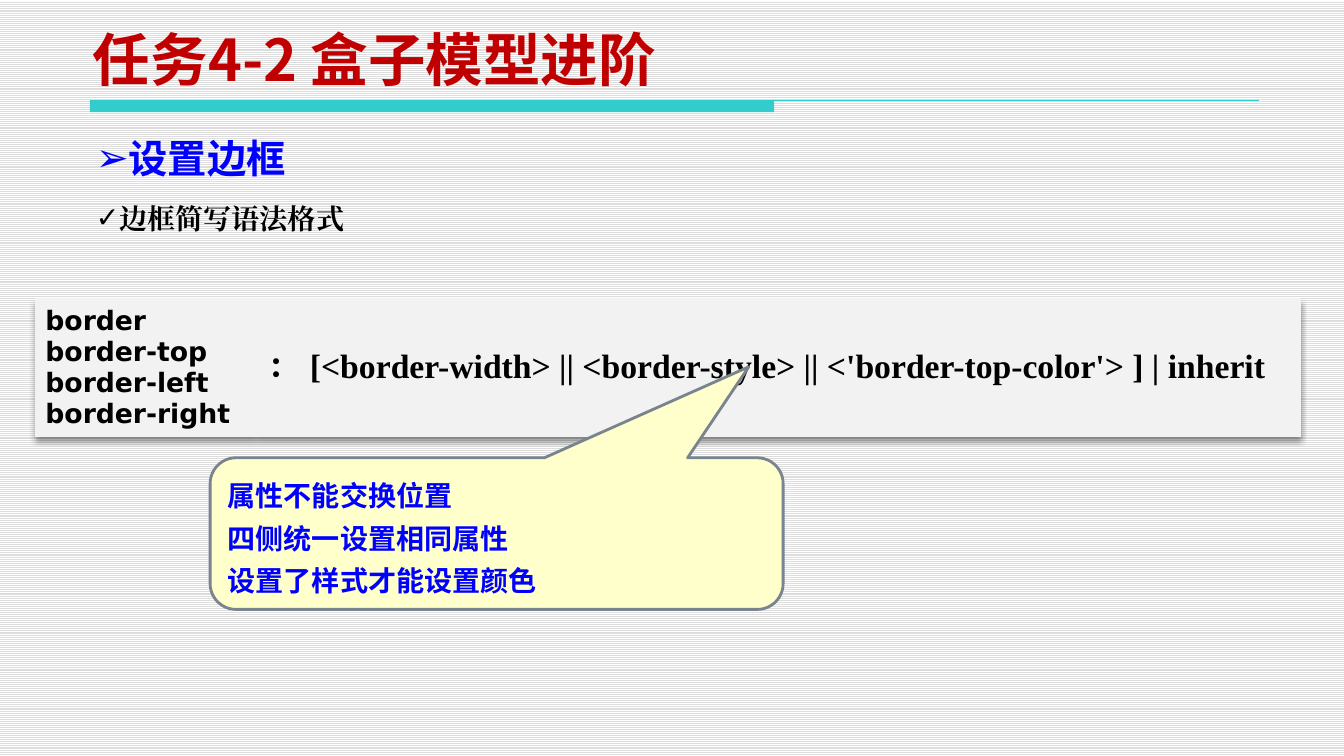
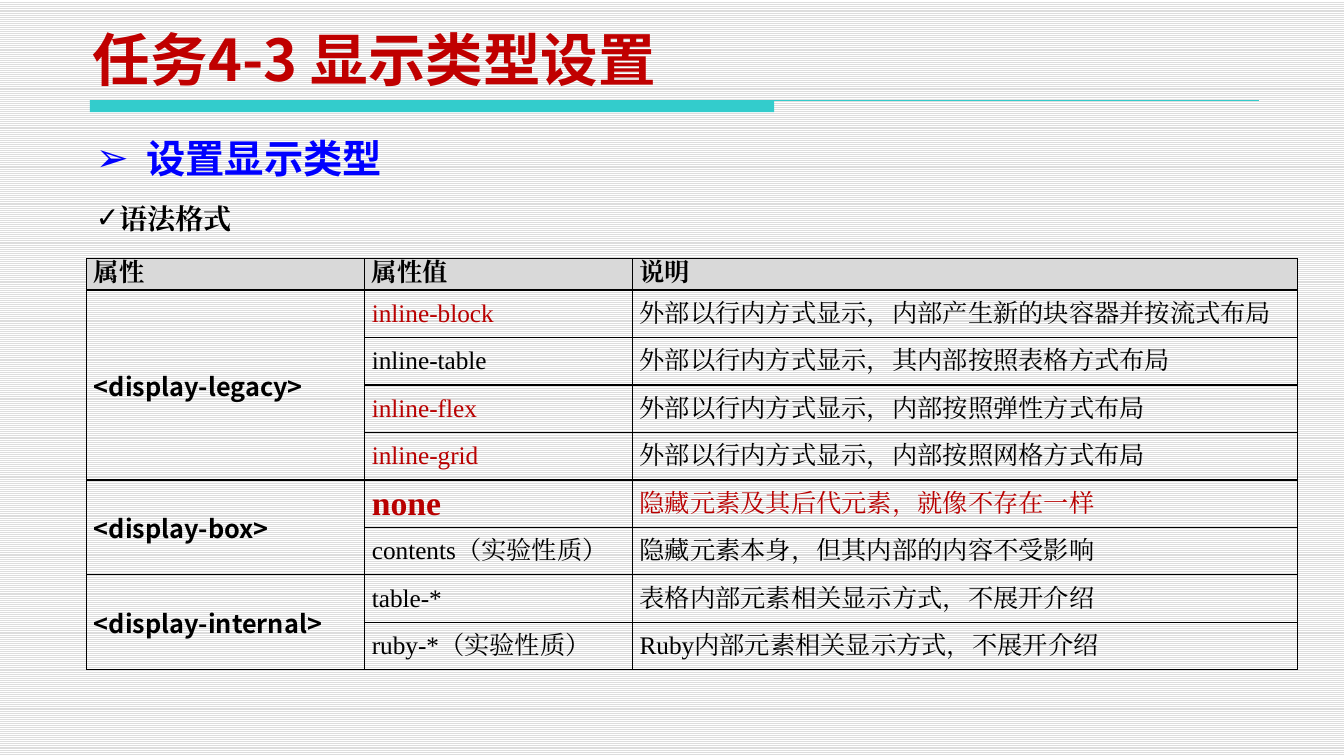
from dataclasses import dataclass

from lxml import etree
from pptx import Presentation
from pptx.dml.color import RGBColor
from pptx.enum.dml import MSO_PATTERN
from pptx.enum.shapes import MSO_CONNECTOR, MSO_SHAPE
from pptx.enum.text import MSO_ANCHOR, PP_ALIGN
from pptx.oxml.ns import qn
from pptx.util import Inches, Pt


@dataclass(frozen=True)
class Theme:
    # Colours
    stripe: str = "DDDDDD"
    white: str = "FFFFFF"
    black: str = "000000"
    title: str = "C00000"
    rule: str = "33CCCC"
    blue: str = "0000FF"
    accent: str = "B90000"
    panel: str = "F2F2F2"
    header: str = "D9D9D9"
    callout: str = "FFFFCC"
    callout_line: str = "79848F"
    # Fonts
    sans: str = "DejaVu Sans"
    serif: str = "Times New Roman"
    chinese: str = "Noto Sans CJK SC"
    # Type sizes
    title_size: int = 41
    heading_size: int = 28
    syntax_size: int = 24
    body_size: int = 20
    property_size: int = 19
    cell_size: int = 18


THEME = Theme()
PLAIN_TABLE_STYLE = "{2D5ABB26-0587-4C30-8999-92F81FD0307C}"


def rgb(value):
    return RGBColor.from_string(value)


def add_child(parent, tag, **attributes):
    return etree.SubElement(parent, qn(tag), **attributes)


def format_paragraph(paragraph, name, size, color, bold=True, align=PP_ALIGN.LEFT):
    paragraph.alignment = align
    font = paragraph.font
    font.size, font.bold = Pt(size), bold
    font.color.rgb = rgb(color)
    font.name = name
    # East Asian characters use the same font name
    properties = paragraph._p.get_or_add_pPr().find(qn("a:defRPr"))
    add_child(properties, "a:ea", typeface=name)


def write_lines(frame, lines, *style, **options):
    frame.text = "\n".join(lines)
    for paragraph in frame.paragraphs:
        format_paragraph(paragraph, *style, **options)


def add_bullet(paragraph, symbol, indent):
    properties = paragraph._p.get_or_add_pPr()
    properties.set("marL", str(Inches(indent)))
    properties.set("indent", str(Inches(-indent)))
    add_child(properties, "a:buFont", typeface=THEME.sans)
    add_child(properties, "a:buChar", char=symbol)


# Shared title, rule and headings
def add_title_rule(slide, left, top, width, height):
    band = slide.shapes.add_shape(MSO_SHAPE.RECTANGLE, left, top, Inches(6.77), height)
    band.shadow.inherit = False
    band.fill.solid()
    band.fill.fore_color.rgb = rgb(THEME.rule)
    band.line.fill.background()
    line = slide.shapes.add_connector(MSO_CONNECTOR.STRAIGHT, left, top, left + width, top)
    line.line.color.rgb = rgb(THEME.rule)
    line.line.width = Pt(0.75)
    add_child(line._element.spPr, "a:effectLst")


def add_bullet_line(slide, box, text, symbol, style, indent=0, align=PP_ALIGN.LEFT):
    frame = slide.shapes.add_textbox(*box).text_frame
    frame.word_wrap = True
    paragraph = frame.paragraphs[0]
    paragraph.text = text
    add_bullet(paragraph, symbol, indent)
    format_paragraph(paragraph, *style, align=align)


def add_topic_slide(presentation, title, heading, subheading, heading_indent=0):
    slide = presentation.slides.add_slide(presentation.slide_layouts[5])
    add_title_rule(slide, Inches(0.89), Inches(0.99), Inches(11.57), Inches(0.12))

    placeholder = slide.shapes.title
    placeholder.left, placeholder.top = Inches(0.82), Inches(0.28)
    placeholder.width, placeholder.height = Inches(8.03), Inches(0.69)
    placeholder.text_frame.vertical_anchor = MSO_ANCHOR.BOTTOM
    write_lines(placeholder.text_frame, [title], THEME.chinese, THEME.title_size, THEME.title)

    left = Inches(0.85)
    add_bullet_line(slide, (left, Inches(1.28), Inches(8.66), Inches(0.57)), heading, "➢",
                    (THEME.sans, THEME.heading_size, THEME.blue),
                    heading_indent, PP_ALIGN.JUSTIFY)
    add_bullet_line(slide, (left, Inches(1.94), Inches(7.33), Inches(0.44)), subheading, "✓",
                    (THEME.serif, THEME.body_size, THEME.black))
    return slide


# Tables
def add_plain_table(slide, left, top, column_widths, row_heights):
    frame = slide.shapes.add_table(len(row_heights), len(column_widths), left, top,
                                   Inches(sum(column_widths)), Inches(sum(row_heights)))
    table = frame.table
    table.first_row = table.horz_banding = False
    table._tbl.tblPr.find(qn("a:tableStyleId")).text = PLAIN_TABLE_STYLE
    for column, width in zip(table.columns, column_widths):
        column.width = Inches(width)
    for row, height in zip(table.rows, row_heights):
        row.height = Inches(height)
    return table


def fill_cell(cell, color):
    cell.fill.solid()
    cell.fill.fore_color.rgb = rgb(color)


def add_borders(cell, color, width):
    properties = cell._tc.get_or_add_tcPr()
    for index, side in enumerate(("a:lnL", "a:lnR", "a:lnT", "a:lnB")):
        line = etree.Element(qn(side), w=str(Pt(width)))
        add_child(add_child(line, "a:solidFill"), "a:srgbClr", val=color)
        properties.insert(index, line)


def add_table_shadow(table):
    effects = etree.Element(qn("a:effectLst"))
    shadow = add_child(effects, "a:outerShdw", blurRad=str(Pt(4)), dist=str(Pt(3)),
                       dir="5400000", algn="t", rotWithShape="0")
    color = add_child(shadow, "a:srgbClr", val=THEME.black)
    add_child(color, "a:alpha", val="40000")
    table._tbl.tblPr.insert(0, effects)


def add_syntax_table(slide, left, top, properties, syntax):
    table = add_plain_table(slide, left, top, [2.2, 10.32], [1.37])
    add_table_shadow(table)
    contents = ((properties, THEME.sans, THEME.property_size),
                ([syntax], THEME.serif, THEME.syntax_size))
    for cell, (lines, name, size) in zip(table.rows[0].cells, contents):
        cell.vertical_anchor = MSO_ANCHOR.MIDDLE
        fill_cell(cell, THEME.panel)
        write_lines(cell.text_frame, lines, name, size, THEME.black)


def add_callout(slide, left, top, width, height, lines):
    callout = slide.shapes.add_shape(MSO_SHAPE.ROUNDED_RECTANGULAR_CALLOUT,
                                     left, top, width, height)
    for index, value in enumerate((0.44, -1.1, 0.17)):
        callout.adjustments[index] = value
    callout.shadow.inherit = False
    callout.fill.solid()
    callout.fill.fore_color.rgb = rgb(THEME.callout)
    callout.line.color.rgb = rgb(THEME.callout_line)
    callout.line.width = Pt(2)
    frame = callout.text_frame
    frame.word_wrap = True
    frame.vertical_anchor = MSO_ANCHOR.MIDDLE
    write_lines(frame, lines, THEME.sans, THEME.body_size, THEME.blue)
    for paragraph in frame.paragraphs:
        paragraph.line_spacing = Pt(30)


def add_display_table(slide, left, top, headers, groups):
    row_count = sum(len(values) for _, values in groups)
    table = add_plain_table(slide, left, top, [2.75, 2.65, 6.58], [0.31] + [0.47] * row_count)
    for cell in table.iter_cells():
        cell.margin_left = cell.margin_right = Inches(0.07)
        cell.margin_top = cell.margin_bottom = 0
        cell.vertical_anchor = MSO_ANCHOR.MIDDLE
        add_borders(cell, THEME.black, 1)

    # Header row
    for cell, text in zip(table.rows[0].cells, headers):
        cell.vertical_anchor = MSO_ANCHOR.TOP
        fill_cell(cell, THEME.header)
        write_lines(cell.text_frame, [text], THEME.serif, THEME.cell_size, THEME.black,
                    align=PP_ALIGN.JUSTIFY)

    # One merged property cell beside each group of values
    row = 1
    for name, values in groups:
        group_cell = table.cell(row, 0)
        group_cell.merge(table.cell(row + len(values) - 1, 0))
        write_lines(group_cell.text_frame, [name], THEME.chinese, THEME.cell_size, THEME.black)
        for value, description in values:
            strong = value == "none"
            value_color = THEME.accent if strong or value in ACCENTED else THEME.black
            write_lines(table.cell(row, 1).text_frame, [value], THEME.serif,
                        THEME.syntax_size if strong else THEME.cell_size, value_color,
                        bold=strong, align=PP_ALIGN.JUSTIFY)
            write_lines(table.cell(row, 2).text_frame, [description], THEME.serif,
                        THEME.cell_size, THEME.accent if strong else THEME.black,
                        bold=False, align=PP_ALIGN.JUSTIFY)
            row += 1


ACCENTED = {"inline-block", "inline-flex", "inline-grid"}
DISPLAY_GROUPS = [
    ("<display-legacy>", [
        ("inline-block", "外部以行内方式显示，内部产生新的块容器并按流式布局"),
        ("inline-table", "外部以行内方式显示，其内部按照表格方式布局"),
        ("inline-flex", "外部以行内方式显示，内部按照弹性方式布局"),
        ("inline-grid", "外部以行内方式显示，内部按照网格方式布局"),
    ]),
    ("<display-box>", [
        ("none", "隐藏元素及其后代元素，就像不存在一样"),
        ("contents（实验性质）", "隐藏元素本身，但其内部的内容不受影响"),
    ]),
    ("<display-internal>", [
        ("table-*", "表格内部元素相关显示方式，不展开介绍"),
        ("ruby-*（实验性质）", "Ruby内部元素相关显示方式，不展开介绍"),
    ]),
]


def build_border_slide(presentation):
    slide = add_topic_slide(presentation, "任务4-2 盒子模型进阶", "设置边框", "边框简写语法格式")
    add_syntax_table(
        slide, Inches(0.35), Inches(2.95),
        ["border", "border-top", "border-left", "border-right"],
        "： [<border-width> || <border-style> || <'border-top-color'> ] | inherit")
    add_callout(slide, Inches(2.08), Inches(4.53), Inches(5.67), Inches(1.5),
                ["属性不能交换位置", "四侧统一设置相同属性", "设置了样式才能设置颜色"])


def build_display_slide(presentation):
    slide = add_topic_slide(presentation, "任务4-3 显示类型设置", "设置显示类型", "语法格式",
                            heading_indent=0.5)
    add_display_table(slide, Inches(0.86), Inches(2.56),
                      ["属性", "属性值", "说明"], DISPLAY_GROUPS)


def main():
    presentation = Presentation()
    presentation.slide_width, presentation.slide_height = Inches(13.3), Inches(7.48)
    # Striped background for every slide
    background = presentation.slide_master.background.fill
    background.patterned()
    background.pattern = MSO_PATTERN.LIGHT_HORIZONTAL
    background.fore_color.rgb = rgb(THEME.stripe)
    background.back_color.rgb = rgb(THEME.white)
    build_border_slide(presentation)
    build_display_slide(presentation)
    presentation.save("out.pptx")


if __name__ == "__main__":
    main()
